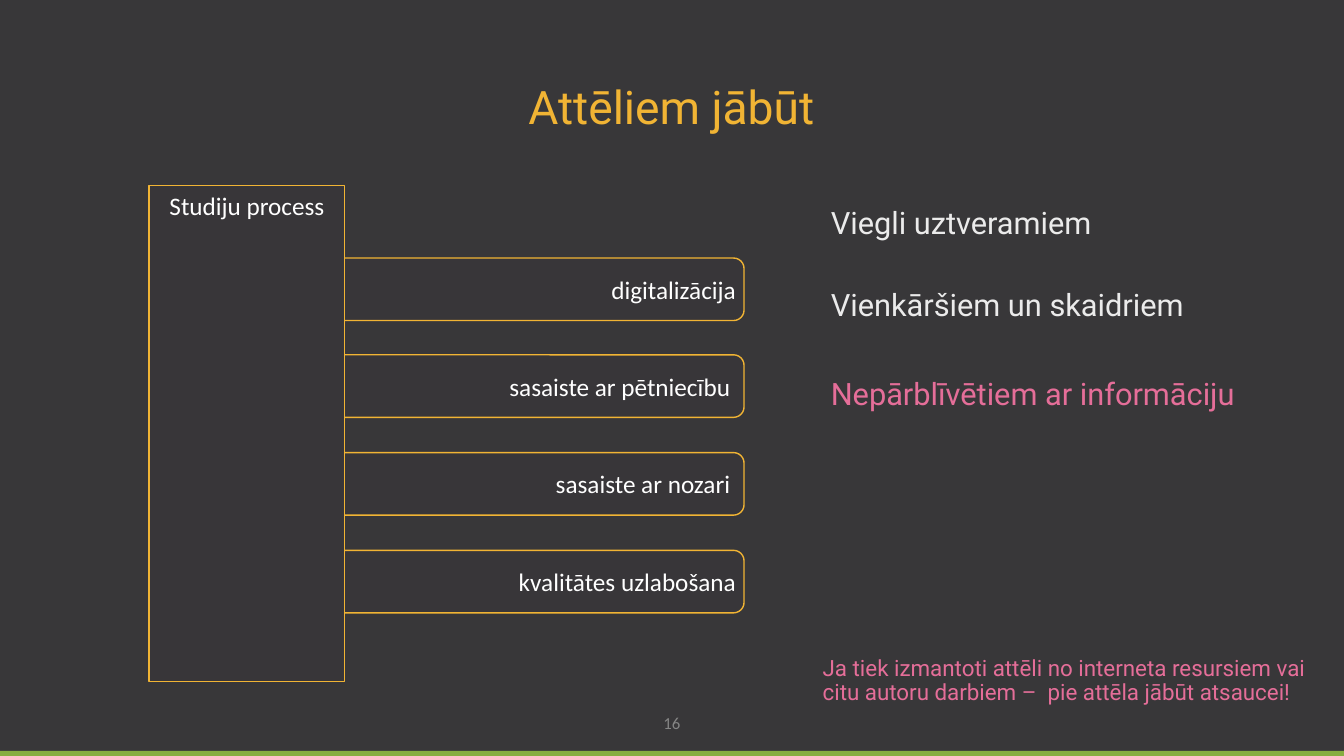
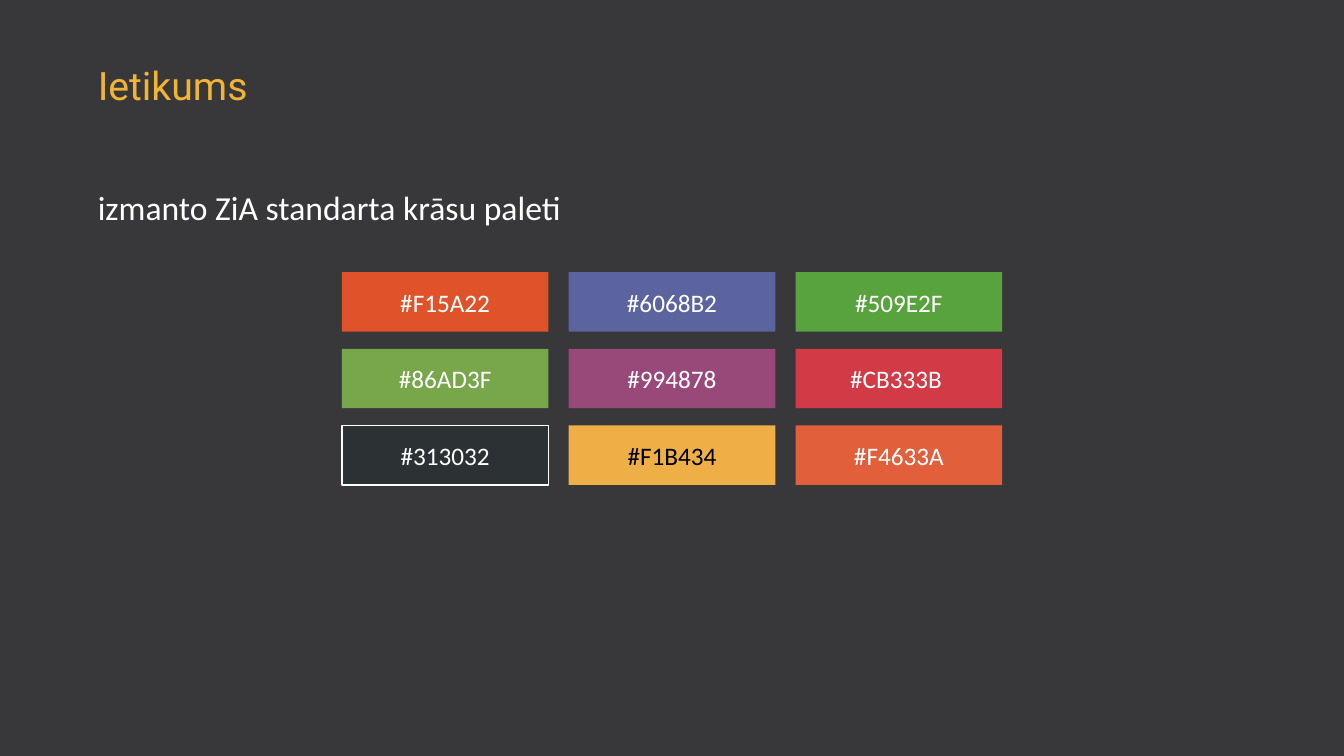
import pptx
import pptx.util
import pptx.dml.color
import pptx.enum.shapes
import pptx.enum.text

RGB = pptx.dml.color.RGBColor
KIND = pptx.enum.shapes.MSO_SHAPE
ALIGN = pptx.enum.text.PP_ALIGN
ANCHOR = pptx.enum.text.MSO_ANCHOR

# Lengths are px, a hundred to the inch
SCALE = 9144
WIDE, HIGH = 1333, 750

# Colours
GROUND = RGB.from_string("383739")
PANEL = RGB.from_string("383639")
GOLD = RGB.from_string("F1B434")
GREEN = RGB.from_string("86AD3F")
PINK = RGB.from_string("E56E99")
PALE = RGB.from_string("EBEBEB")
GREY = RGB.from_string("858585")
WHITE = RGB.from_string("FFFFFF")
BLACK = RGB.from_string("000000")

# Text styles
LABEL = {"name": "Calibri", "size": 18, "color": WHITE}
TITLE = {"name": "Roboto", "size": 33, "color": GOLD, "space": 0.9}
POINT = {"name": "Roboto", "size": 22, "color": PALE, "space": 0.9, "inset": 6}
BODY = {"name": "Calibri", "size": 24, "color": WHITE, "space": 0.9}
FOOT = {"name": "Calibri", "size": 12, "color": GREY}

# Palette rows: code, fill, text colour, line colour
SWATCHES = [
    [("#F15A22", "E0532A", WHITE, None),
     ("#6068B2", "5B649F", WHITE, None),
     ("#509E2F", "59A33F", WHITE, None)],
    [("#86AD3F", "78A64A", WHITE, None),
     ("#994878", "994979", WHITE, None),
     ("#CB333B ", "D23B45", WHITE, None)],
    [("#313032", "2C3133", WHITE, WHITE),
     ("#F1B434", "EEB046", BLACK, None),
     ("#F4633A", "E25F3C", WHITE, None)],
]


def px(*sizes):
    return [pptx.util.Emu(size * SCALE) for size in sizes]


def write(shape, text, style, align=ALIGN.LEFT, anchor=ANCHOR.MIDDLE):
    """Put one styled paragraph into a shape."""
    frame = shape.text_frame
    inset = px(style.get("inset", 5))[0]
    form = {"word_wrap": True, "vertical_anchor": anchor,
            "margin_left": inset, "margin_right": inset,
            "margin_top": inset, "margin_bottom": inset}
    para = frame.paragraphs[0]
    run = para.add_run()
    run.text = text
    font = {"name": style["name"], "size": pptx.util.Pt(style["size"])}
    lines = {"alignment": align, "line_spacing": style.get("space", 1.0)}
    for part, values in ((frame, form), (para, lines), (run.font, font)):
        for key, value in values.items():
            setattr(part, key, value)
    run.font.color.rgb = style["color"]


def add_text(slide, box, text, style, align=ALIGN.LEFT):
    write(slide.shapes.add_textbox(*px(*box)), text, style, align)


def add_box(slide, box, fill, line=None, kind=KIND.RECTANGLE):
    shape = slide.shapes.add_shape(kind, *px(*box))
    shape.shadow.inherit = False
    shape.fill.solid()
    shape.fill.fore_color.rgb = fill
    if line is None:
        shape.line.fill.background()
    else:
        shape.line.color.rgb = line
        shape.line.width = pptx.util.Pt(1)
    return shape


def add_slide(deck):
    slide = deck.slides.add_slide(deck.slide_layouts[6])
    slide.background.fill.solid()
    slide.background.fill.fore_color.rgb = GROUND
    return slide


def add_foot(slide, number):
    add_text(slide, (0, 703, WIDE, 29), number, FOOT, ALIGN.CENTER)
    add_box(slide, (0, 745, WIDE, 5), GREEN)


def draw_process(deck):
    slide = add_slide(deck)
    add_foot(slide, "16")

    # Branches, then the column that covers their left ends
    names = ["digitalizācija", "sasaiste ar pētniecību ",
             "sasaiste ar nozari ", "kvalitātes uzlabošana"]
    for row, name in enumerate(names):
        top = 256 + row * 290 // 3
        bar = add_box(slide, (325, top, 413, 62), PANEL, GOLD,
                      KIND.ROUNDED_RECTANGLE)
        write(bar, name, LABEL, ALIGN.RIGHT)
    column = add_box(slide, (148, 184, 194, 492), PANEL, GOLD)
    write(column, "Studiju process", LABEL, ALIGN.CENTER, ANCHOR.TOP)

    # Title, advice and note
    add_text(slide, (253, 60, 826, 98), "Attēliem jābūt", TITLE, ALIGN.CENTER)
    points = [(171, "Viegli uztveramiem", PALE),
              (252, "Vienkāršiem un skaidriem", PALE),
              (340, "Nepārblīvētiem ar informāciju", PINK)]
    for top, text, color in points:
        add_text(slide, (818, top, 515, 104), text, POINT | {"color": color})
    add_text(slide, (810, 624, 523, 104),
             "Ja tiek izmantoti attēli no interneta resursiem vai "
             "citu autoru darbiem –  pie attēla jābūt atsaucei!",
             POINT | {"size": 16, "color": PINK})


def draw_palette(deck):
    slide = add_slide(deck)
    add_text(slide, (92, 40, 1150, 94), "Ietikums", TITLE | {"size": 28})
    add_text(slide, (92, 180, 1150, 56),
             "izmanto ZiA standarta krāsu paleti", BODY)

    # Swatch grid
    for row, swatches in enumerate(SWATCHES):
        for col, (code, fill, color, line) in enumerate(swatches):
            box = (339 + col * 225, 270 + row * 76, 205, 59)
            swatch = add_box(slide, box, RGB.from_string(fill), line)
            write(swatch, code, LABEL | {"color": color}, ALIGN.CENTER)


def main():
    deck = pptx.Presentation()
    deck.slide_width, deck.slide_height = px(WIDE, HIGH)
    draw_process(deck)
    draw_palette(deck)
    deck.save("out.pptx")


if __name__ == "__main__":
    main()
